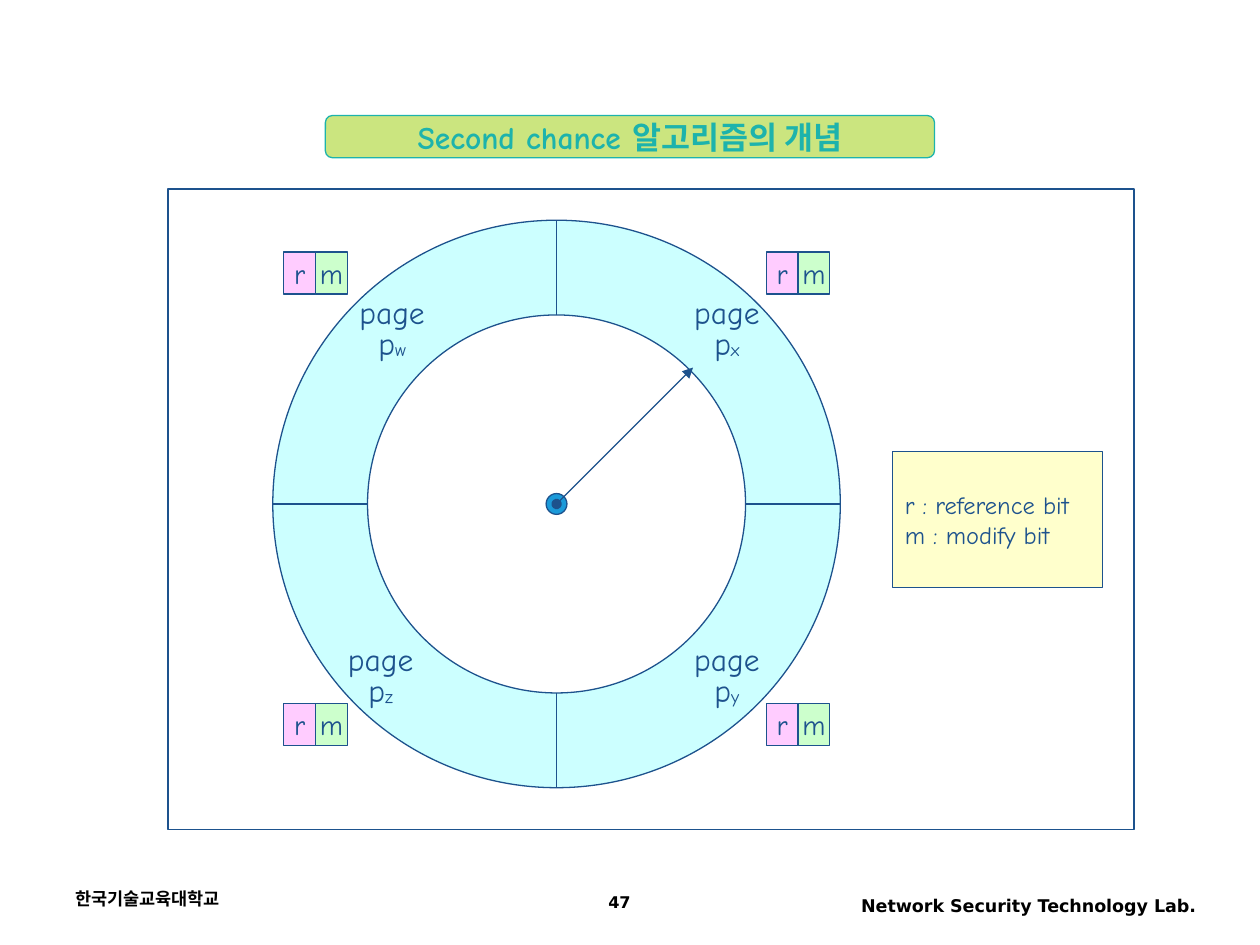
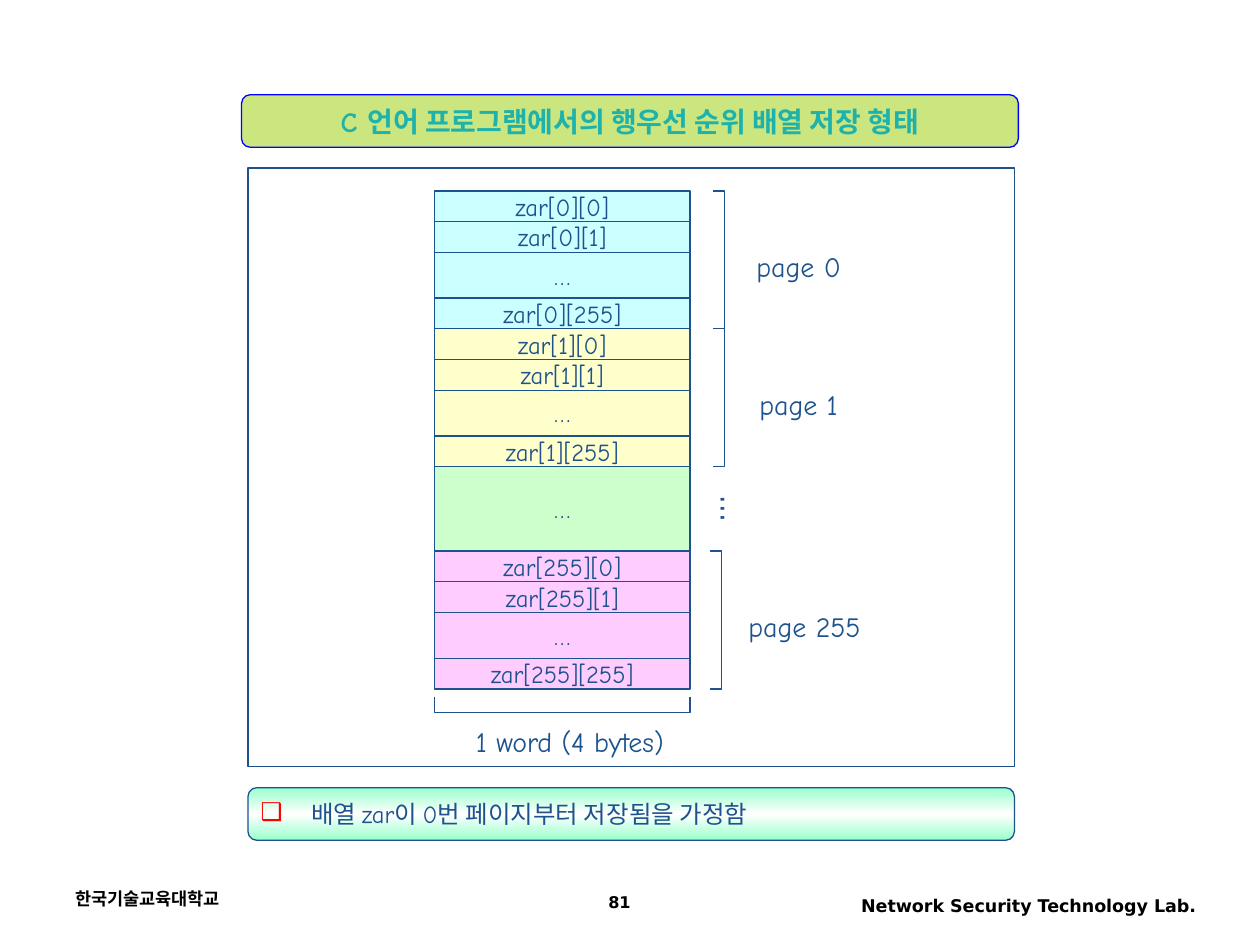
from copy import deepcopy
from dataclasses import dataclass
from itertools import product

from lxml.etree import SubElement
from pptx import Presentation
from pptx.dml.color import RGBColor
from pptx.enum.shapes import MSO_CONNECTOR, MSO_SHAPE
from pptx.enum.text import MSO_ANCHOR, MSO_AUTO_SIZE, PP_ALIGN
from pptx.oxml.ns import qn
from pptx.util import Cm, Pt


@dataclass(frozen=True)
class Theme:
    navy: str = "1D528D"
    teal: str = "1DB3AC"
    lime: str = "99CC00"
    blue: str = "0000FF"
    black: str = "000000"
    white: str = "FFFFFF"
    cyan: str = "CCFFFF"
    yellow: str = "FFFFCC"
    green: str = "CCFFCC"
    pink: str = "FFCCFF"
    hub: str = "1B9AD9"
    mint: str = "99FFCC"
    red: str = "FF0000"
    text_font: str = "Comic Neue"
    footer_font: str = "DejaVu Sans"
    dots_font: str = "Arial Narrow"
    large: float = 18
    medium: float = 16
    small: float = 14
    dots: float = 20
    footer: float = 10
    number: float = 9.2
    line: float = 0.75


theme = Theme()


def draw(slide, kind, box, text="", fill=None, line=theme.navy):
    lengths = [Cm(value) for value in box]
    if kind is None:
        shape = slide.shapes.add_textbox(*lengths)
    else:
        shape = slide.shapes.add_shape(kind, *lengths)
        shape.shadow.inherit = False
        if fill:
            shape.fill.solid()
            shape.fill.fore_color.rgb = RGBColor.from_string(fill)
        shape.line.color.rgb = RGBColor.from_string(line)
        shape.line.width = Pt(theme.line)
    shape.text_frame.text = text
    return shape


def style_text(shape, size, color=theme.navy, font=theme.text_font, bold=False,
               align=PP_ALIGN.CENTER, anchor=MSO_ANCHOR.MIDDLE, wrap=False):
    frame = shape.text_frame
    frame.word_wrap = wrap
    frame.auto_size = MSO_AUTO_SIZE.NONE
    frame.vertical_anchor = anchor
    for paragraph in frame.paragraphs:
        paragraph.alignment = align
        for run in paragraph.runs:
            run.font.name = font
            run.font.size = Pt(size)
            run.font.bold = bold
            run.font.color.rgb = RGBColor.from_string(color)


prs = Presentation()
prs.slide_width, prs.slide_height = Cm(25.4), Cm(19.05)
clock = prs.slides.add_slide(prs.slide_layouts[5])
array = prs.slides.add_slide(prs.slide_layouts[1])

pages = [
    (clock, "47", "Second chance 알고리즘의 개념", theme.large, theme.teal,
     (6.56, 2.33, 12.28, 0.85), (3.39, 3.81, 19.47, 12.91)),
    (array, "81", "C 언어 프로그램에서의 행우선 순위 배열 저장 형태", theme.medium, theme.blue,
     (4.87, 1.91, 15.66, 1.06), (5, 3.39, 15.45, 12.07)),
]
for slide, number, heading, heading_size, band_line, band_box, frame_box in pages:
    footers = [
        ("한국기술교육대학교", (1.27, 17.78, 5.92, 0.84), theme.footer, PP_ALIGN.LEFT),
        ("Network Security Technology Lab.", (16.31, 17.91, 8.05, 0.81), theme.footer, PP_ALIGN.RIGHT),
        (number, (9.53, 17.91, 5.92, 0.71), theme.number, PP_ALIGN.CENTER),
    ]
    for words, box, size, align in footers:
        footer = draw(slide, None, box, words)
        style_text(footer, size, theme.black, theme.footer_font, True, align, MSO_ANCHOR.TOP, True)
    footer.text_frame.paragraphs[0].line_spacing = 0.9

    draw(slide, MSO_SHAPE.RECTANGLE, frame_box, fill=theme.white)
    band = draw(slide, MSO_SHAPE.FLOWCHART_ALTERNATE_PROCESS, band_box, fill=theme.lime, line=band_line)
    band_color = band._element.spPr.find(".//" + qn("a:srgbClr"))
    SubElement(band_color, qn("a:alpha"), val="50000")

    title = slide.shapes.title
    title.left, title.top, title.width, title.height = [Cm(value) for value in band_box]
    title.text_frame.text = heading
    style_text(title, heading_size, theme.teal, bold=True)
    slide.shapes._spTree.append(title._element)

center_x, center_y = 11.22, 10.16
outer, inner, hub, reach = 5.72, 3.81, 0.21, 2.75
for radius, fill in [(outer, theme.cyan), (inner, theme.white), (hub, theme.hub)]:
    draw(clock, MSO_SHAPE.OVAL, (center_x - radius, center_y - radius, 2 * radius, 2 * radius), fill=fill)

spokes = [(dx * inner, dy * inner, dx * outer, dy * outer)
          for dx, dy in [(1, 0), (0, -1), (0, 1), (-1, 0)]]
for x1, y1, x2, y2 in spokes + [(0, 0, reach, -reach)]:
    hand = clock.shapes.add_connector(
        MSO_CONNECTOR.STRAIGHT, Cm(center_x + x1), Cm(center_y + y1), Cm(center_x + x2), Cm(center_y + y2))
    hand.line.color.rgb = RGBColor.from_string(theme.navy)
    hand.line.width = Pt(theme.line)
    SubElement(hand._element.spPr, qn("a:effectLst"))
hand_line = hand.line._get_or_add_ln()
SubElement(hand_line, qn("a:headEnd"), type="oval")
SubElement(hand_line, qn("a:tailEnd"), type="triangle")

for letter, x, y in [("x", 13.74, 5.79), ("y", 13.74, 12.78), ("z", 6.76, 12.78), ("w", 6.99, 5.79)]:
    page = draw(clock, None, (x, y, 1.83, 1.63), "page\np")
    name_line = page.text_frame.paragraphs[1]
    name_line.line_spacing = 0.8
    subscript = name_line.add_run()
    subscript.text = letter
    style_text(page, theme.large, anchor=MSO_ANCHOR.TOP)
    subscript._r.get_or_add_rPr().set("baseline", "-4000")

bit_width = 0.64
bits = [("r", theme.pink), ("m", theme.green)]
for x, y in product((5.72, 15.45), (5.08, 14.18)):
    for column, (bit, fill) in enumerate(bits):
        bit_box = (x + column * bit_width, y, bit_width, 0.85)
        style_text(draw(clock, MSO_SHAPE.RECTANGLE, bit_box, bit, fill), theme.medium)

legend = draw(clock, MSO_SHAPE.RECTANGLE, (17.99, 9.1, 4.23, 2.75),
              "r : reference bit\nm : modify bit", theme.yellow)
style_text(legend, theme.small, align=PP_ALIGN.LEFT)

column_left, column_width = 8.76, 5.15
row_height, dots_height, gap_height = 0.62, 0.92, 1.7
groups = [("0", theme.cyan, 14.61, 16.1), ("1", theme.yellow, 14.61, 16.1),
          (None, theme.green, None, None), ("255", theme.pink, 14.55, 16.22)]
brackets = [[(column_left, 14.06), (column_left, 14.37),
             (column_left + column_width, 14.37), (column_left + column_width, 14.06)]]
captions = [("1 word (4 bytes)", 11.49, 14.48)]
top = 3.85
for index, fill, bracket_x, caption_x in groups:
    group_top = top
    if index is None:
        rows = [("…", gap_height)]
    else:
        rows = [(f"zar[{index}][0]", row_height), (f"zar[{index}][1]", row_height),
                ("…", dots_height), (f"zar[{index}][255]", row_height)]
    for entry, height in rows:
        cell = draw(array, MSO_SHAPE.RECTANGLE, (column_left, top, column_width, height), entry, fill)
        style_text(cell, theme.small)
        top += height
    if index is not None:
        tip = bracket_x - 0.23
        brackets.append([(tip, top), (bracket_x, top), (bracket_x, group_top), (tip, group_top)])
        captions.append((f"page {index}", caption_x, group_top + 1.05))

for points in brackets:
    start, *others = [(Cm(x), Cm(y)) for x, y in points]
    outline = array.shapes.build_freeform(*start)
    outline.add_line_segments(others, close=False)
    bracket = outline.convert_to_shape()
    bracket.shadow.inherit = False
    bracket.fill.background()
    bracket.line.color.rgb = RGBColor.from_string(theme.navy)
    bracket.line.width = Pt(theme.line)

caption_width = 4.34
for words, middle, y in captions:
    caption = draw(array, None, (middle - caption_width / 2, y, caption_width, 0.94), words)
    style_text(caption, theme.medium, anchor=MSO_ANCHOR.TOP)

more_pages = draw(array, None, (14.25, 9.7, 1.09, 1.12), "…")
more_pages.rotation = 90
style_text(more_pages, theme.dots, font=theme.dots_font, anchor=MSO_ANCHOR.TOP)

note_box = (5, 15.88, 15.45, 1.06)
note_band = draw(array, MSO_SHAPE.FLOWCHART_ALTERNATE_PROCESS, note_box)
note_band.fill.gradient()
note_band.fill.gradient_angle = 270
first_stop = note_band.fill.gradient_stops[0]._gs
first_stop.addnext(deepcopy(first_stop))
for stop, position, color in zip(note_band.fill.gradient_stops, (0, 0.5, 1),
                                 (theme.mint, theme.white, theme.mint)):
    stop.position = position
    stop.color.rgb = RGBColor.from_string(color)

note = array.placeholders[1]
note.left, note.top, note.width, note.height = [Cm(value) for value in note_box]
note.text_frame.text = "배열 zar이 0번 페이지부터 저장됨을 가정함"
style_text(note, theme.small, align=PP_ALIGN.LEFT, wrap=True)
bullet = note.text_frame.paragraphs[0]._p.get_or_add_pPr()
bullet.set("marL", str(Cm(1.02)))
bullet.set("indent", str(-Cm(1.02)))
SubElement(SubElement(bullet, qn("a:buClr")), qn("a:srgbClr"), val=theme.red)
SubElement(bullet, qn("a:buSzPct"), val="100000")
SubElement(bullet, qn("a:buFont"), typeface=theme.dots_font)
SubElement(bullet, qn("a:buChar"), char="❑")
array.shapes._spTree.append(note._element)

prs.save("out.pptx")
